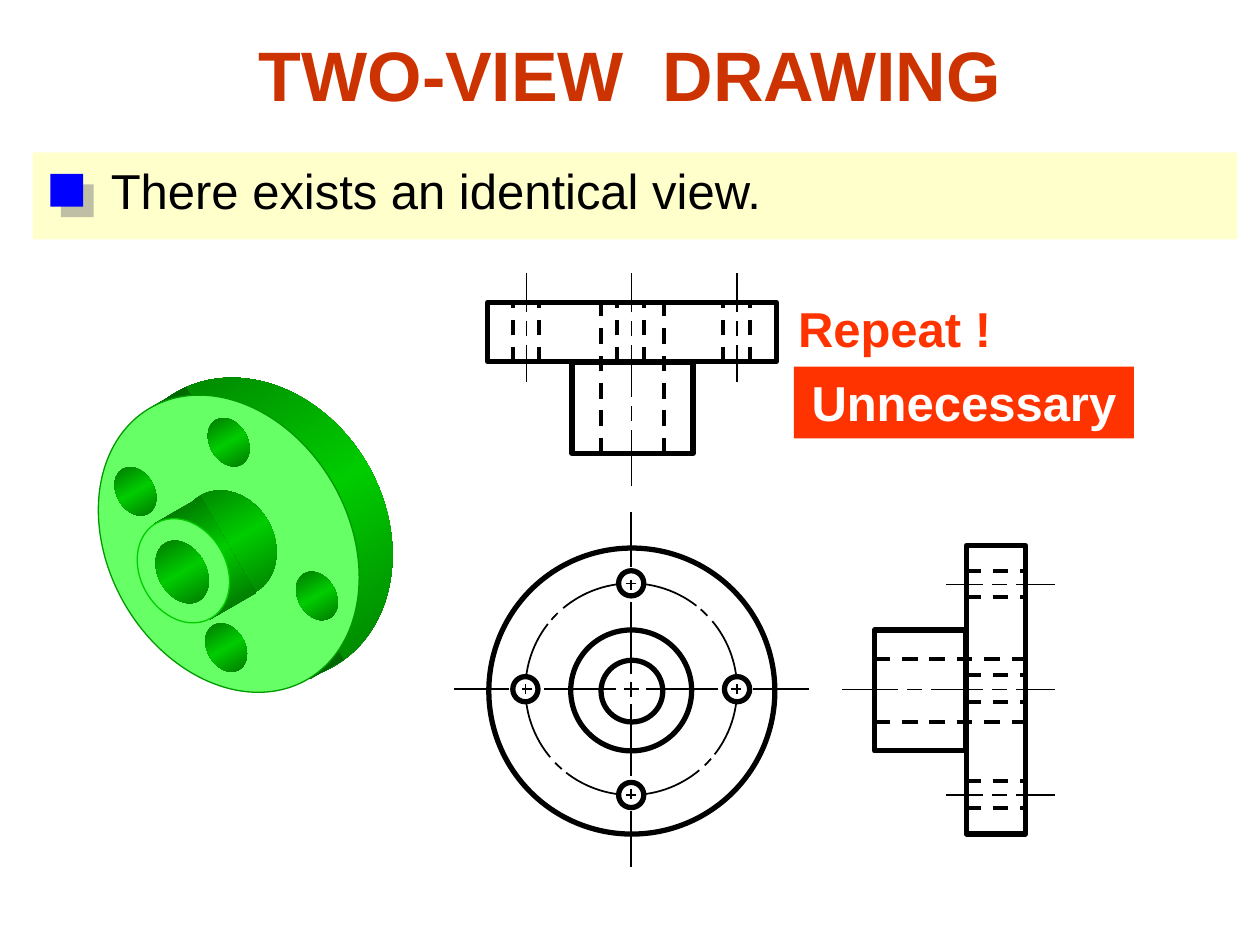
from copy import deepcopy
from dataclasses import dataclass
from lxml.etree import SubElement as Sub
from pptx import Presentation
from pptx.dml.color import RGBColor as RGB
from pptx.enum.dml import MSO_LINE as Dash
from pptx.enum.shapes import MSO_CONNECTOR as Conn, MSO_SHAPE as Kind
from pptx.enum.text import MSO_ANCHOR as Anchor, MSO_AUTO_SIZE as Auto, PP_ALIGN as Align
from pptx.oxml.ns import qn
from pptx.util import Emu, Pt


@dataclass(frozen=True)
class Theme:
    """Colours, type sizes and line widths of the slide."""
    font: str = "Arial"
    head: int = 40
    text: int = 28
    title: str = "CC3300"
    alert: str = "FF3300"
    band: str = "FFFFCC"
    mark: str = "0000FF"
    shade: str = "808080"
    ink: str = "000000"
    paper: str = "FFFFFF"
    dark: str = "005E00"
    green: str = "00CC00"
    light: str = "66FF66"
    edge: str = "009900"
    thick: float = 3
    hidden: float = 2.25
    axis: float = 1
    thin: float = 0.75


T = Theme()
SCALE = 9144


def px(n):
    """Turn px, a hundredth of an inch each, into EMU."""
    return Emu(n * SCALE)


def place(shape, box):
    """Move a shape to a box of left, top, width, height."""
    shape.left, shape.top, shape.width, shape.height = map(px, box)


def draw(shapes, kind, box, fill=None, line=None, width=T.thick, turn=0):
    """Add a plain preset shape."""
    shape = shapes.add_shape(kind, *map(px, box))
    shape.shadow.inherit = False
    shape.rotation = turn
    if fill:
        shape.fill.solid()
        shape.fill.fore_color.rgb = RGB.from_string(fill)
    else:
        shape.fill.background()
    if line:
        shape.line.color.rgb = RGB.from_string(line)
        shape.line.width = Pt(width)
    else:
        shape.line.fill.background()
    return shape


def rule(shapes, start, end, width, dash=False):
    """Add a straight line between two points."""
    line = shapes.add_connector(Conn.STRAIGHT, *map(px, (*start, *end)))
    line.line.color.rgb = RGB.from_string(T.ink)
    line.line.width = Pt(width)
    if dash:
        line.line.dash_style = Dash.DASH
    Sub(line._element.spPr, qn("a:effectLst"))


def metal(shape):
    """Fill a shape with the dark, bright, dark sheen."""
    shape.fill.gradient()
    shape.fill.gradient_angle = 120
    stops = shape.fill.gradient_stops
    stops[0].color.rgb = RGB.from_string(T.dark)
    stops[1].color.rgb = RGB.from_string(T.green)
    stops[1].position = 0.5
    grad = shape._element.spPr.find(qn("a:gradFill"))
    grad.set("rotWithShape", "0")
    stop_list = grad.find(qn("a:gsLst"))
    last = deepcopy(stop_list[0])
    last.set("pos", "100000")
    stop_list.append(last)


def write(shape, text, size, color, bold=True, align=Align.CENTER, side=0, wrap=True):
    """Put one formatted run into a shape."""
    frame = shape.text_frame
    frame.word_wrap = wrap
    frame.auto_size = Auto.SHAPE_TO_FIT_TEXT
    frame.vertical_anchor = Anchor.TOP
    frame.margin_left = frame.margin_right = px(side)
    frame.margin_top = frame.margin_bottom = px(5)
    para = frame.paragraphs[0]
    para.alignment = align
    para.space_before = Pt(0)
    run = para.add_run()
    run.text = text
    font = run.font
    font.name, font.size, font.bold = T.font, Pt(size), bold
    font.color.rgb = RGB.from_string(color)
    return para


def heading(slide, box):
    """Fill the title placeholder."""
    place(slide.shapes.title, box)
    write(slide.shapes.title, "TWO-VIEW  DRAWING", T.head, T.title, side=10)


def point(slide, box):
    """Place the body line on its band with a square marker."""
    x, y, w, h = box
    band = draw(slide.shapes, Kind.RECTANGLE, box, T.band)
    slide.shapes._spTree.insert(2, band._element)
    body = slide.placeholders[1]
    place(body, (x + 52, y + 1, 538, 57))
    para = write(body, "There exists an identical view.", T.text, T.ink,
                 False, Align.LEFT, 10, False)
    props = para._p.get_or_add_pPr()
    props.set("marL", "0")
    props.set("indent", "0")
    Sub(props, qn("a:buNone"))
    mark = draw(slide.shapes, Kind.RECTANGLE, (x + 14, y + 17, 26, 26), T.mark)
    effects = mark._element.spPr.find(qn("a:effectLst"))
    shadow = Sub(effects, qn("a:outerShdw"), blurRad="0", dist=str(Pt(8.5)),
                 dir="2700000", algn="ctr", rotWithShape="0")
    color = Sub(shadow, qn("a:srgbClr"), val=T.shade)
    Sub(color, qn("a:alpha"), val="50000")


def solid(slide, x, y):
    """Draw the flanged part in pictorial view."""
    shapes = slide.shapes.add_group_shape().shapes

    def oval(dx, dy, w, h, fill=None, line=None):
        shape = draw(shapes, Kind.OVAL, (x + dx, y + dy, w, h), fill, line, T.thin, 60)
        if not fill:
            metal(shape)

    def wall(dx, dy, w, h):
        metal(draw(shapes, Kind.RECTANGLE, (x + dx, y + dy, w, h), turn=330))

    oval(20, 19, 251, 206)
    wall(125, 0, 30, 250)
    oval(0, 38, 249, 191, T.light, T.edge)
    for dx, dy in ((104, 38), (174, 160), (102, 201), (30, 77)):
        oval(dx, dy, 41, 30)
    oval(80, 97, 88, 73)
    wall(85, 101, 42, 88)
    oval(45, 121, 87, 68, T.light, T.green)
    oval(61, 137, 53, 38)


def front(slide, x, y):
    """Draw the round view about its centre."""
    shapes = slide.shapes.add_group_shape().shapes
    ring = 84

    def circle(cx, cy, size):
        half = size // 2
        draw(shapes, Kind.OVAL, (cx - half, cy - half, size, size), line=T.ink)

    for size in (227, 96, 49):
        circle(x, y + 1, size)
    rule(shapes, (x, y - 6), (x, y + 6), T.axis)
    rule(shapes, (x - 6, y), (x + 6, y), T.axis)
    for turn, (dx, dy) in enumerate(((1, 0), (0, 1), (-1, 0), (0, -1))):
        cx, cy = x + ring * dx, y + ring * dy
        circle(cx, cy, 20)
        rule(shapes, (cx - 4 * dy, cy - 4 * dx), (cx + 4 * dy, cy + 4 * dx), T.axis)
        for a, b in ((12, 69), (79, 87), (97, 141)):
            rule(shapes, (x + a * dx, y + a * dy), (x + b * dx, y + b * dy), T.axis)
        for a, b in ((6, 38), (41, 46), (50, 82)):
            arc = draw(shapes, Kind.ARC, (x - ring, y - ring, 2 * ring, 2 * ring),
                       line=T.ink, width=T.axis)
            arc.adjustments[0] = (90 * turn + a) * 0.6
            arc.adjustments[1] = (90 * turn + b) * 0.6


def profile(slide, x, y, up=False):
    """Draw the stepped view from the hub end, pointing right or up."""
    shapes = slide.shapes.add_group_shape().shapes

    def at(u, v):
        return (x + v, y - u) if up else (x + u, y + v)

    def block(u, v, end, far):
        (a, b), (c, d) = at(u, v), at(end, far)
        box = (min(a, c), min(b, d), abs(c - a), abs(d - b))
        draw(shapes, Kind.RECTANGLE, box, line=T.ink)

    def line(u, end, v, width, dash=False):
        rule(shapes, at(u, v), at(end, v), width, dash)

    block(73, -114, 120, 115)
    block(0, -47, 72, 49)
    for v in (-24, 26):
        line(0, 120, v, T.hidden, True)
    for u, end in ((-26, 19), (26, 38), (45, 86)):
        line(u, end, 0, T.thin)
    for v in (-83, 0, 84):
        for side in (-11, 10):
            line(72, 120, v + side, T.hidden, True)
        if v:
            line(57, 86, v, T.thin)
        for u, end in ((93, 105), (112, 143)):
            line(u, end, v, T.thin)


def verdict(slide, x, y):
    """Place the remark and the red label under it."""
    note = slide.shapes.add_textbox(*map(px, (x, y, 176, 57)))
    write(note, "Repeat !", T.text, T.alert)
    label = draw(slide.shapes, Kind.RECTANGLE, (x + 8, y + 59, 270, 57), T.alert)
    write(label, "Unnecessary", T.text, T.paper)


def main():
    """Build the slide and save it."""
    deck = Presentation()
    deck.slide_width, deck.slide_height = px(1000), px(750)
    slide = deck.slides.add_slide(deck.slide_layouts[1])
    heading(slide, (0, 20, 1000, 77))
    point(slide, (26, 121, 956, 69))
    solid(slide, 57, 298)
    front(slide, 501, 547)
    profile(slide, 694, 547)
    profile(slide, 501, 360, up=True)
    verdict(slide, 622, 232)
    deck.save("out.pptx")


if __name__ == "__main__":
    main()
